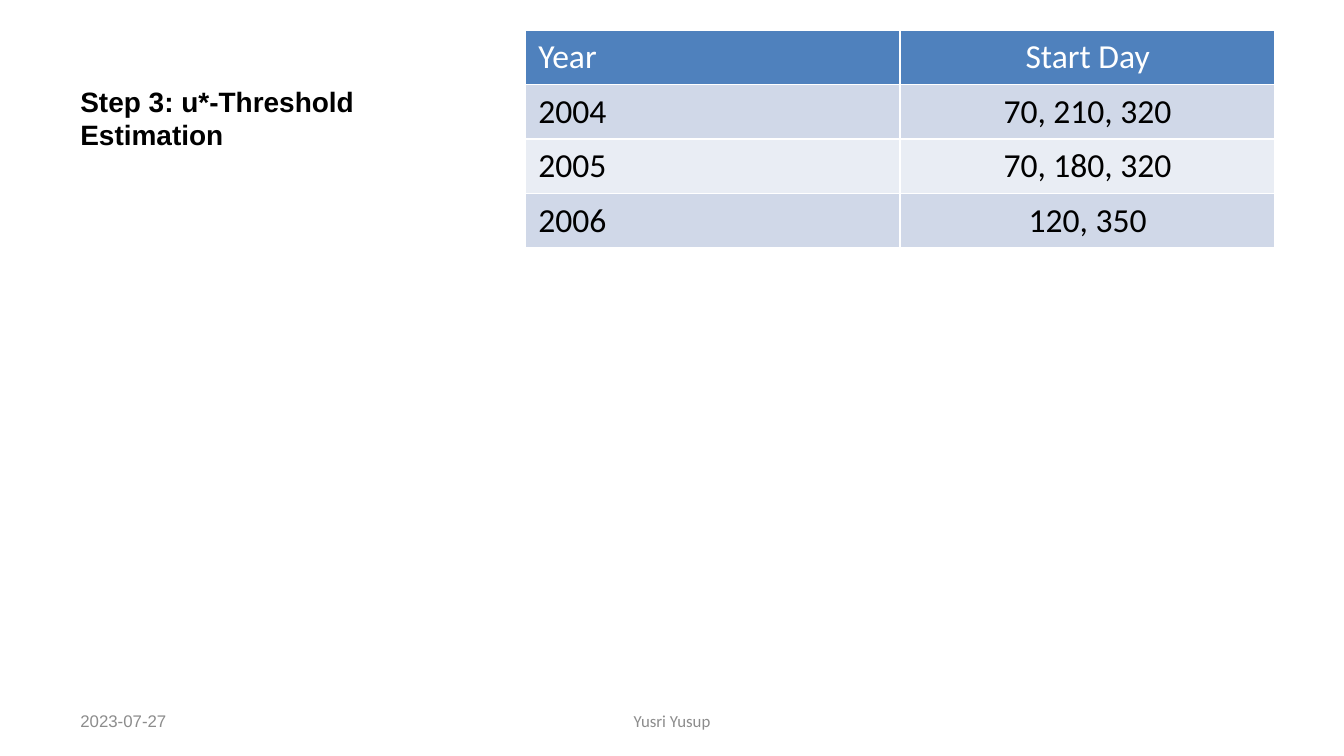
from pptx import Presentation
from pptx.dml.color import RGBColor
from pptx.enum.text import MSO_ANCHOR as Anchor, PP_ALIGN as Align
from pptx.util import Cm, Pt

COLORS = {
    "ink": "000000",
    "white": "FFFFFF",
    "gray": "8C8C8C",
    "head": "4F81BD",
    "odd": "D0D8E8",
    "even": "E9EDF4",
}


class Deck:
    """Holds the style and the current slide."""

    def __init__(self, wide, high):
        """Start a deck with one blank slide."""
        self.prs = Presentation()
        self.prs.slide_width, self.prs.slide_height = Cm(wide), Cm(high)
        self.slide = self.prs.slides.add_slide(self.prs.slide_layouts[6])

    def style(self, para, size, font, color, bold=False, align=Align.LEFT):
        """Set the font and alignment of a paragraph."""
        para.alignment = align
        para.font.size, para.font.name, para.font.bold = Pt(size), font, bold
        para.font.color.rgb = RGBColor.from_string(COLORS[color])

    def text(self, words, box, anchor, *look, **more):
        """Add a wrapped text box."""
        frame = self.slide.shapes.add_textbox(*map(Cm, box)).text_frame
        frame.word_wrap = True
        frame.vertical_anchor = anchor
        frame.text = words
        self.style(frame.paragraphs[0], *look, **more)

    def table(self, rows, left, top, width, step):
        """Add a banded table with a header row and equal columns."""
        count = len(rows[0])
        grid = self.slide.shapes.add_table(
            len(rows), count, Cm(left), Cm(top), Cm(width), Cm(step * len(rows))
        ).table
        for r, row in enumerate(rows):
            fill = "head" if r == 0 else ("even", "odd")[r % 2]
            for c, words in enumerate(row):
                cell = grid.cell(r, c)
                cell.text = words
                cell.fill.solid()
                cell.fill.fore_color.rgb = RGBColor.from_string(COLORS[fill])
                self.style(cell.text_frame.paragraphs[0], 18, "Calibri",
                           "ink" if r else "white",
                           align=Align.CENTER if c else Align.LEFT)


START_DAYS = [
    ("Year", "Start Day"),
    ("2004", "70, 210, 320"),
    ("2005", "70, 180, 320"),
    ("2006", "120, 350"),
]

deck = Deck(25.4, 14.29)
deck.text("Step 3: u*-Threshold Estimation", (1.27, 0.57, 8.36, 2.42),
          Anchor.BOTTOM, 15, "Arial", "ink", bold=True)
deck.table(START_DAYS, 9.92, 0.57, 14.18, 1.03)
deck.text("2023-07-27", (1.27, 13.24, 5.93, 0.76),
          Anchor.MIDDLE, 9, "Arial", "gray")
deck.text("Yusri Yusup", (8.68, 13.24, 8.04, 0.76),
          Anchor.MIDDLE, 9, "Calibri", "gray", align=Align.CENTER)
deck.prs.save("out.pptx")
